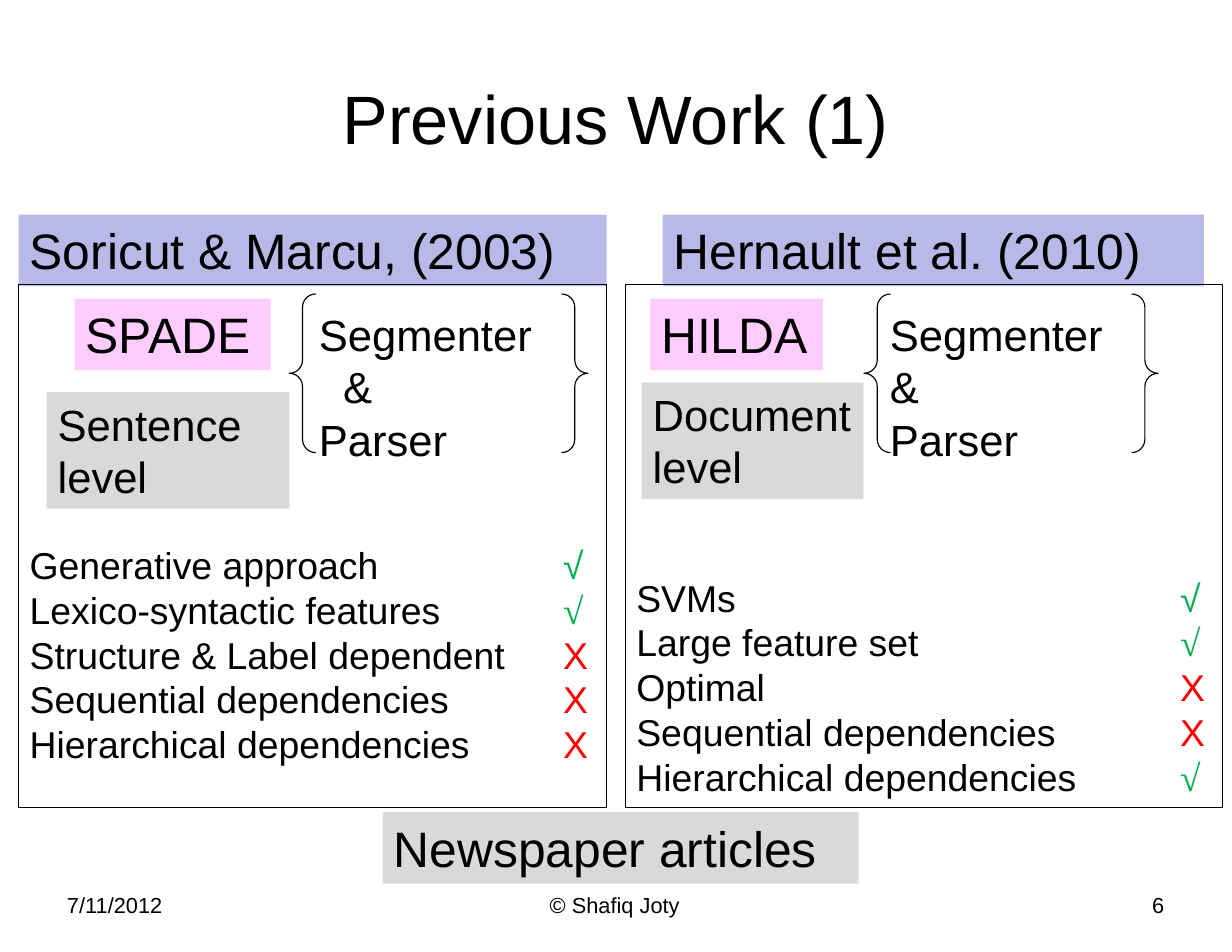
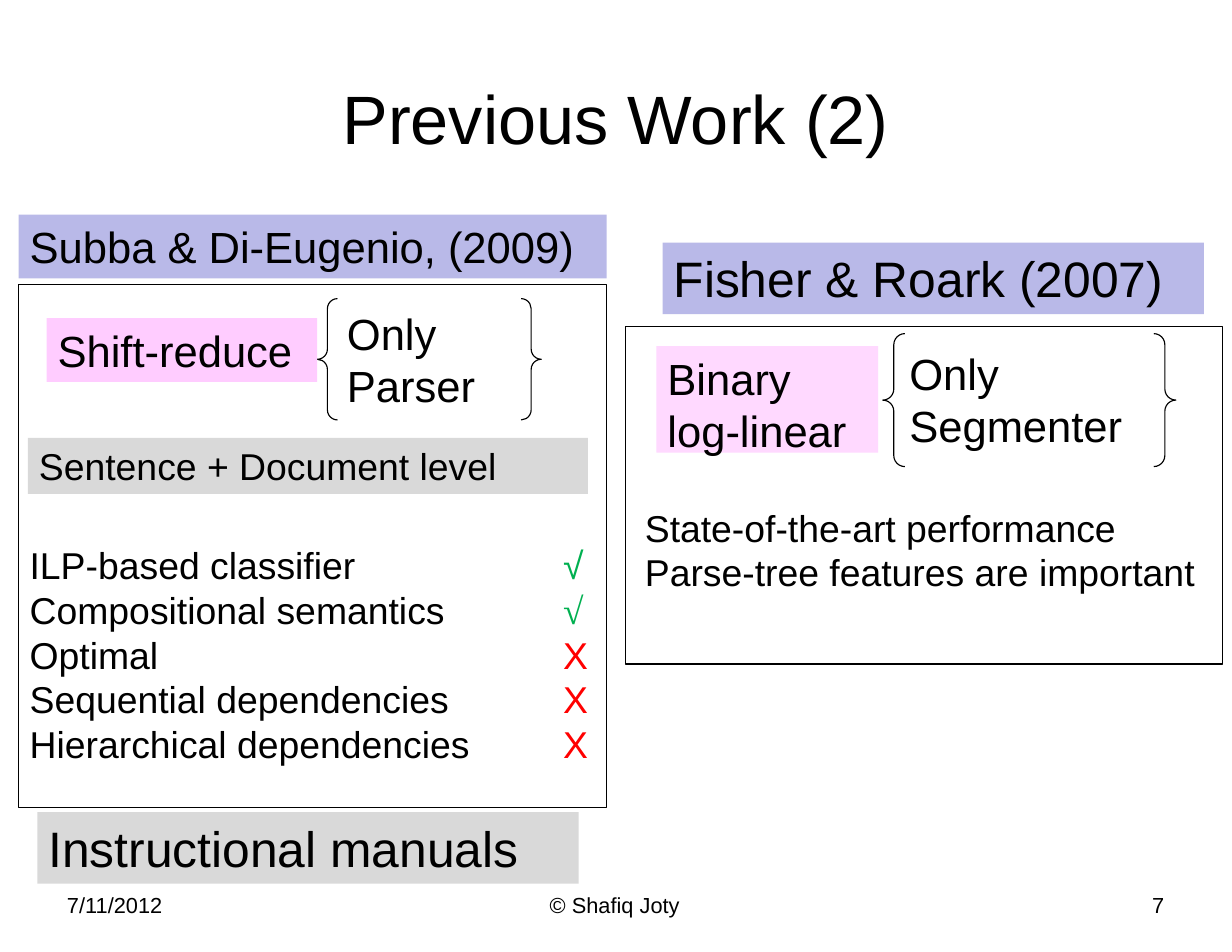
from lxml import etree
from pptx import Presentation
from pptx.dml.color import RGBColor
from pptx.enum import shapes, text
from pptx.oxml.ns import qn
from pptx.util import Pt

SANS, SERIF = "Arial", "Times New Roman"
BLACK, GREEN, RED = "000000", "00B050", "FF0000"
LAVENDER, PINK, GREY = "9C9CDF", "FFCCFF", "D9D9D9"
CHECK, CROSS = "√", "Х"
LEFT_X, LEFT_W = 12, 378
RIGHT_X, RIGHT_W = 402, 384
HEAD_X, HEAD_W = 426, 348
HEAD_Y, PANEL_Y, PANEL_H = 138, 183, 336
VENUE_Y = 522
ROW_H = 46


def color(value):
    return RGBColor.from_string(value)


class Deck:
    def __init__(self):
        self.prs = Presentation()
        self.prs.slide_width, self.prs.slide_height = Pt(792), Pt(612)
        self.slide = None

    def start(self, title, number):
        self.slide = self.prs.slides.add_slide(self.prs.slide_layouts[6])
        heading = self.label(39.6, 24.5, 712.8, 102, title, 44, align="CENTER")
        heading.text_frame.vertical_anchor = text.MSO_ANCHOR.MIDDLE
        for x, w, words, align in (
            (36, 185, "7/11/2012", "LEFT"),
            (270, 250.5, "© Shafiq Joty", "CENTER"),
            (570.5, 185, str(number), "RIGHT"),
        ):
            self.label(x, 569.5, w, 42.5, words, 14, align=align)

    def style(self, run, size, tone=BLACK, font=SANS):
        run.font.size, run.font.name = Pt(size), font
        run.font.color.rgb = color(tone)

    def fill_text(self, shape, words, size, align="LEFT"):
        frame = shape.text_frame
        frame.word_wrap = True
        frame.vertical_anchor = text.MSO_ANCHOR.TOP
        frame.text = words
        for paragraph in frame.paragraphs:
            paragraph.alignment = text.PP_ALIGN[align]
            for run in paragraph.runs:
                self.style(run, size)

    def label(self, x, y, w, h, words, size, align="LEFT"):
        box = self.slide.shapes.add_textbox(Pt(x), Pt(y), Pt(w), Pt(h))
        self.fill_text(box, words, size, align)
        return box

    def shape(self, kind, x, y, w, h):
        made = self.slide.shapes.add_shape(kind, Pt(x), Pt(y), Pt(w), Pt(h))
        made.shadow.inherit = False
        return made

    def band(self, x, y, w, h, words, size, fill, opacity=100):
        block = self.shape(shapes.MSO_SHAPE.RECTANGLE, x, y, w, h)
        block.fill.solid()
        block.fill.fore_color.rgb = color(fill)
        block.line.fill.background()
        if opacity < 100:
            tint = block._element.spPr.find(qn("a:solidFill"))[0]
            etree.SubElement(tint, qn("a:alpha")).set("val", str(opacity * 1000))
        self.fill_text(block, words, size)

    def header(self, x, y, w, words, size=32, h=ROW_H):
        self.band(x, y, w, h, words, size, LAVENDER, 70)

    def outline(self, kind, x, y, w, h, weight):
        border = self.shape(kind, x, y, w, h)
        border.fill.background()
        border.line.color.rgb = color(BLACK)
        border.line.width = Pt(weight)

    def braces(self, x, y, w, h):
        self.outline(shapes.MSO_SHAPE.DOUBLE_BRACE, x, y, w, h, 0.75)

    def panel(self, x, y, w, h):
        self.outline(shapes.MSO_SHAPE.RECTANGLE, x, y, w, h, 1)

    def checklist(self, x, y, w, mark_x, rows):
        box = self.label(x, y, w, 153, "\n".join(name + "\t" for name, _ in rows), 24)
        for index, (paragraph, (_, mark)) in enumerate(zip(box.text_frame.paragraphs, rows)):
            tabs = etree.SubElement(paragraph._p.get_or_add_pPr(), qn("a:tabLst"))
            stop = etree.SubElement(tabs, qn("a:tab"))
            stop.set("pos", str(Pt(mark_x)))
            stop.set("algn", "l")
            verdict = paragraph.add_run()
            verdict.text = mark
            font = SERIF if mark == CHECK and index else SANS
            self.style(verdict, 24, GREEN if mark == CHECK else RED, font)


def previous_work_1(deck):
    deck.start("Previous Work (1)", 6)

    deck.header(LEFT_X, HEAD_Y, LEFT_W, "Soricut & Marcu, (2003)")
    parts = deck.label(198, 194.5, 210, 109, "Segmenter\n&\nParser", 28)
    ampersand = parts.text_frame.paragraphs[1]
    ampersand._p.get_or_add_pPr().set("marL", str(Pt(15.5)))
    deck.checklist(LEFT_X, 345, 438, 343, [
        ("Generative approach", CHECK),
        ("Lexico-syntactic features", CHECK),
        ("Structure & Label dependent", CROSS),
        ("Sequential dependencies", CROSS),
        ("Hierarchical dependencies", CROSS),
    ])
    deck.band(30, 252, 156, 75, "Sentence\nlevel", 28, GREY)
    deck.braces(186, 189, 192, 102)
    deck.band(48, 192, 126, ROW_H, "SPADE", 32, PINK)
    deck.panel(LEFT_X, PANEL_Y, LEFT_W, PANEL_H)

    deck.header(HEAD_X, HEAD_Y, HEAD_W, "Hernault et al. (2010)")
    deck.label(565, 194.5, 184, 109, "Segmenter\n&\nParser", 28)
    deck.checklist(RIGHT_X, 366, RIGHT_W, 349.5, [
        ("SVMs", CHECK),
        ("Large feature set", CHECK),
        ("Optimal", CROSS),
        ("Sequential dependencies", CROSS),
        ("Hierarchical dependencies", CHECK),
    ])
    deck.band(412.5, 246, 142.5, 75, "Document\nlevel", 28, GREY)
    deck.braces(555.5, 189, 189, 102)
    deck.band(418, 192, 111, ROW_H, "HILDA", 32, PINK)
    deck.panel(RIGHT_X, PANEL_Y, RIGHT_W, PANEL_H)

    deck.band(246, VENUE_Y, 306, ROW_H, "Newspaper articles", 32, GREY)


def previous_work_2(deck):
    deck.start("Previous Work (2)", 7)

    deck.header(LEFT_X, HEAD_Y, LEFT_W, "Subba & Di-Eugenio, (2009)", 28, 41)
    deck.label(216, 193.5, 144, 75, "Only\nParser", 28)
    deck.checklist(LEFT_X, 345, 438, 343, [
        ("ILP-based classifier", CHECK),
        ("Compositional semantics", CHECK),
        ("Optimal", CROSS),
        ("Sequential dependencies", CROSS),
        ("Hierarchical dependencies", CROSS),
    ])
    deck.band(18, 281.5, 360, 36, "Sentence + Document level", 24, GREY)
    deck.braces(204, 192, 144, 78)
    deck.band(30, 204.5, 174, 41, "Shift-reduce", 28, PINK)
    deck.panel(LEFT_X, PANEL_Y, LEFT_W, PANEL_H)

    deck.header(HEAD_X, 156, HEAD_W, "Fisher & Roark (2007)")
    deck.label(577.5, 219.5, 184, 75, "Only\nSegmenter", 28)
    deck.label(407.5, 321, 384.5, 65.5,
               "State-of-the-art performance\nParse-tree features are important", 24)
    deck.band(422, 222.5, 142.5, 68.5, "Binary log-linear", 28, PINK, 74)
    deck.braces(567.5, 214.5, 188.5, 85.5)
    deck.panel(RIGHT_X, 210, RIGHT_W, 217)

    deck.band(24, VENUE_Y, 348, ROW_H, "Instructional manuals", 32, GREY)


def main():
    deck = Deck()
    previous_work_1(deck)
    previous_work_2(deck)
    deck.prs.save("out.pptx")


if __name__ == "__main__":
    main()
